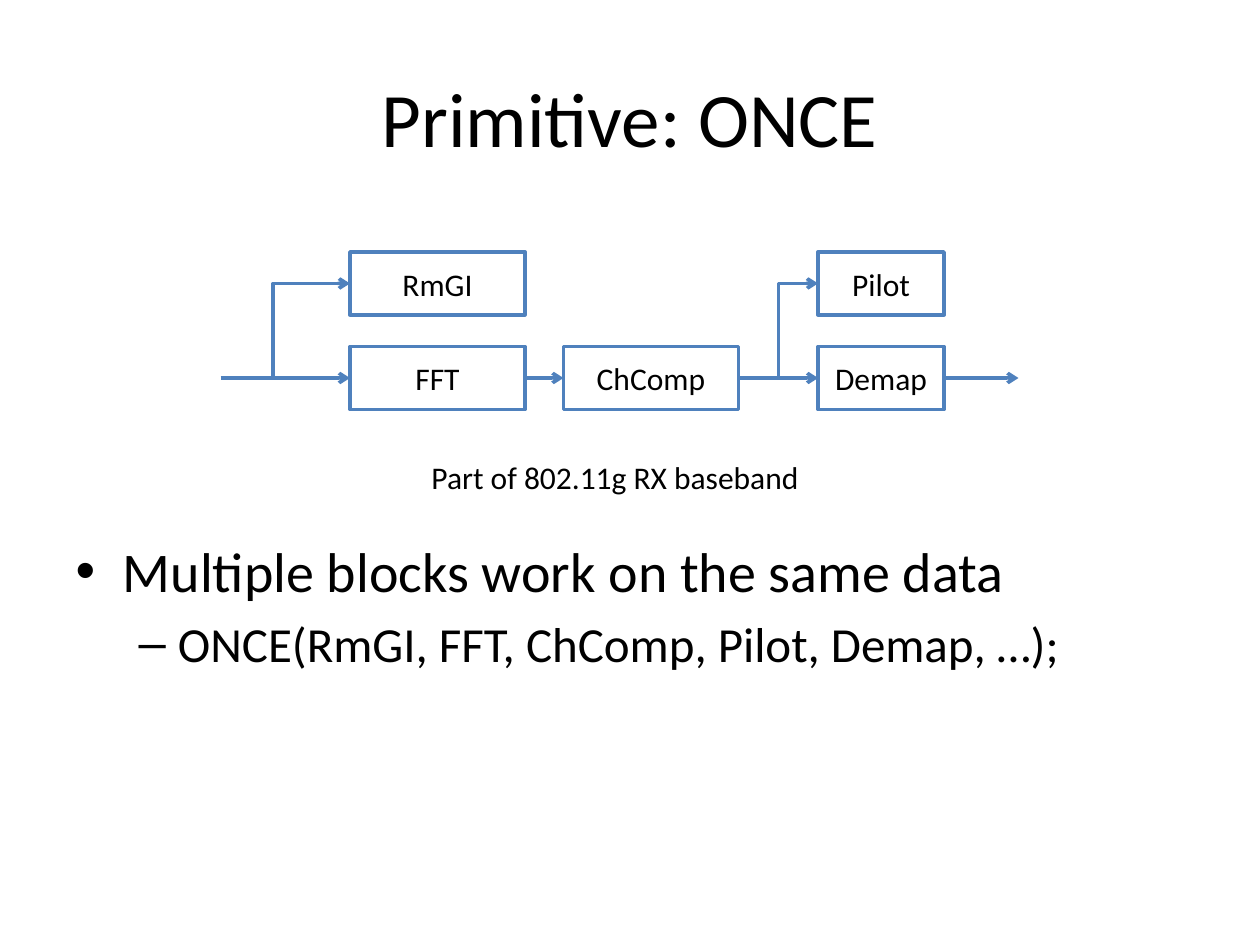
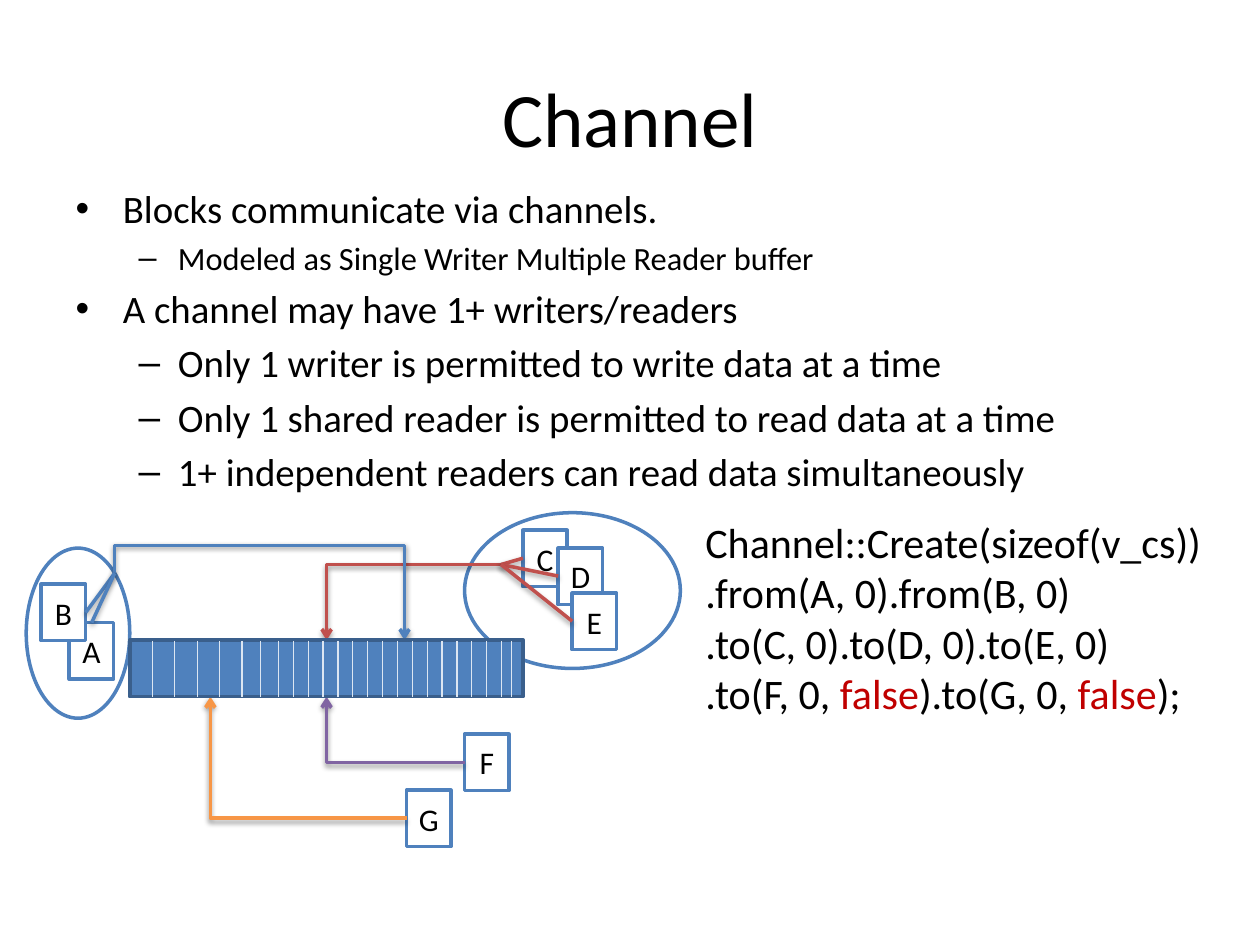
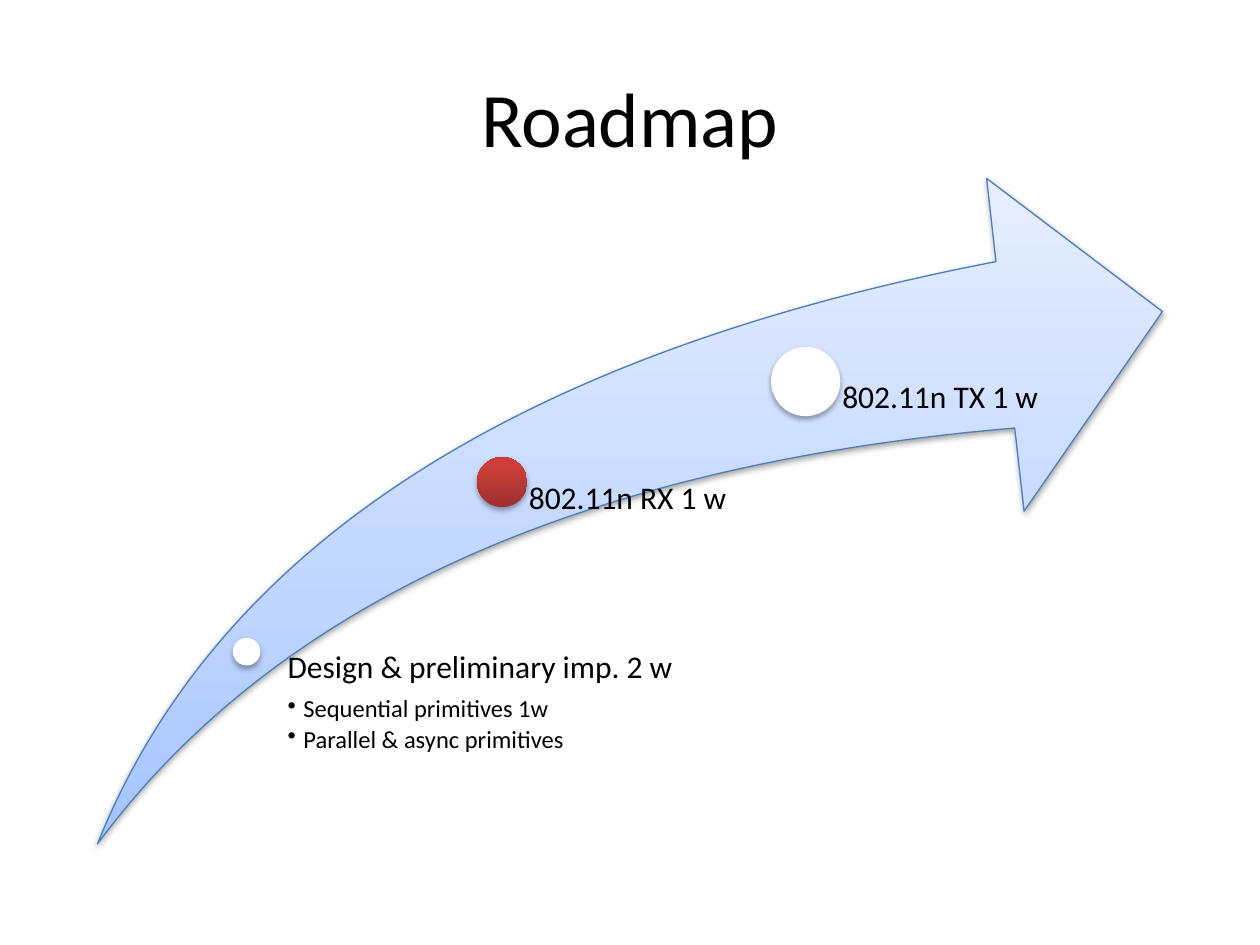
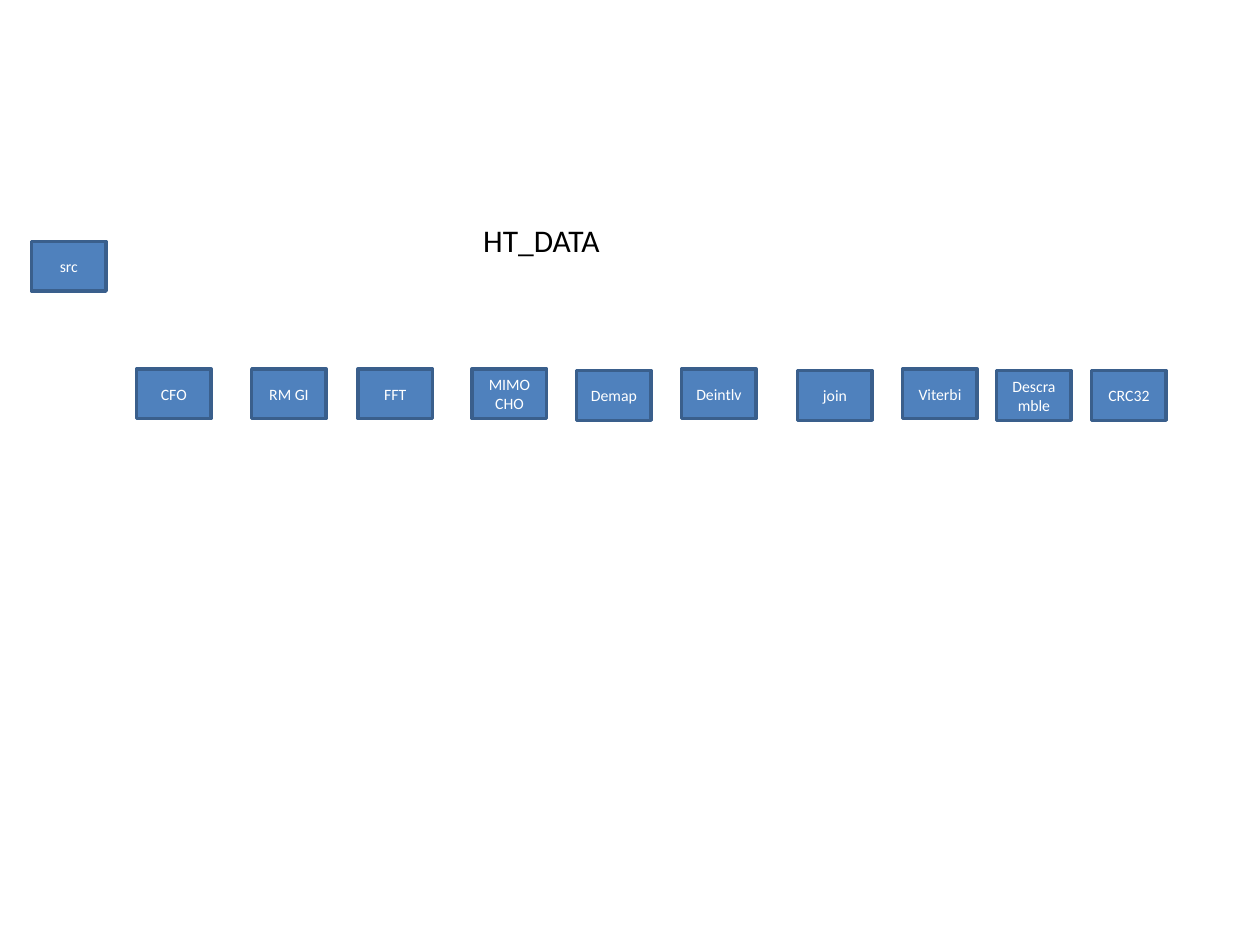
from lxml.etree import SubElement
from pptx import Presentation
from pptx.dml.color import RGBColor
from pptx.enum.shapes import MSO_CONNECTOR, MSO_SHAPE
from pptx.enum.text import MSO_ANCHOR, MSO_AUTO_SIZE, PP_ALIGN
from pptx.oxml.ns import qn
from pptx.util import Pt

FONT = "Calibri"
BLACK, WHITE = "000000", "FFFFFF"
BLUE, NAVY, PALE = "4F81BD", "3A5F8C", "DCE6F2"
RED, PURPLE, ORANGE, ALERT = "C0504D", "8064A2", "F79646", "C00000"
SKY = [(0, "A4C4FF"), (35, "BFD4FF"), (100, "E6EEFF")]
RUBY = [(0, "9C2F2D"), (80, "CB3E3A"), (100, "CE3B37")]


def rgb(code):
    return RGBColor.from_string(code)


def style(para, size, color=BLACK):
    font = para.font
    font.name, font.size = FONT, Pt(size)
    font.color.rgb = rgb(color)


# Slides, titles and lists
def new_slide(deck, layout, title=None):
    slide = deck.slides.add_slide(deck.slide_layouts[layout])
    if title:
        slide.shapes.title.text = title
        style(slide.shapes.title.text_frame.paragraphs[0], 44)
    return slide


def add_list(slide, top, height, items):
    body = slide.placeholders[1]
    body.left, body.top, body.width, body.height = Pt(36), Pt(top), Pt(648), Pt(height)
    frame = body.text_frame
    frame.auto_size = MSO_AUTO_SIZE.NONE
    frame.text = "\n".join(text for text, level, size in items)
    for para, (text, level, size) in zip(frame.paragraphs, items):
        para.level = level
        style(para, size)


# Effects
def add_shadow(effects, alpha=38, dist=1.6):
    shadow = SubElement(effects, qn("a:outerShdw"), blurRad=str(Pt(3.1)), dist=str(Pt(dist)),
                        dir="5400000", rotWithShape="0")
    color = SubElement(shadow, qn("a:srgbClr"), val=BLACK)
    SubElement(color, qn("a:alpha"), val=str(alpha * 1000))


def shade(shape, stops):
    shape.fill.gradient()
    shape.fill.gradient_angle = 90
    gs_list = shape.element.spPr.find(qn("a:gradFill")).find(qn("a:gsLst"))
    for stop in list(gs_list):
        gs_list.remove(stop)
    for place, color in stops:
        stop = SubElement(gs_list, qn("a:gs"), pos=str(place * 1000))
        SubElement(stop, qn("a:srgbClr"), val=color)


# Shapes and text
def add_form(slide, kind, left, top, width, height, fill=None, line=None, weight=2):
    shape = slide.shapes.add_shape(kind, Pt(left), Pt(top), Pt(width), Pt(height))
    shape.shadow.inherit = False
    if isinstance(fill, list):
        shade(shape, fill)
    elif fill:
        shape.fill.solid()
        shape.fill.fore_color.rgb = rgb(fill)
    else:
        shape.fill.background()
    if line:
        shape.line.color.rgb = rgb(line)
        shape.line.width = Pt(weight)
    else:
        shape.line.fill.background()
    return shape


def add_box(slide, text, left, top, width, height, size=18,
            fill=WHITE, line=BLUE, color=BLACK):
    box = add_form(slide, MSO_SHAPE.RECTANGLE, left, top, width, height, fill, line)
    frame = box.text_frame
    frame.text = text
    frame.vertical_anchor = MSO_ANCHOR.MIDDLE
    for para in frame.paragraphs:
        para.alignment = PP_ALIGN.CENTER
        style(para, size, color)


def add_text(slide, text, left, top, width, height, size=18, wrap=True):
    box = slide.shapes.add_textbox(Pt(left), Pt(top), Pt(width), Pt(height))
    frame = box.text_frame
    frame.word_wrap = wrap
    frame.text = text
    for para in frame.paragraphs:
        style(para, size)
    return frame


# Lines and arrows
def add_line(slide, start, end, color=BLUE, weight=2, arrow=False, shadow=False,
             kind=MSO_CONNECTOR.STRAIGHT):
    line = slide.shapes.add_connector(kind, *map(Pt, start + end))
    line.line.color.rgb = rgb(color)
    line.line.width = Pt(weight)
    props = line.element.spPr
    if arrow:
        SubElement(props.find(qn("a:ln")), qn("a:tailEnd"), type="arrow")
    effects = SubElement(props, qn("a:effectLst"))
    if shadow:
        add_shadow(effects)
    return line


def add_bend(slide, start, end, turns, color=BLUE, shadow=False, adjust=()):
    """Bent arrow whose frame is rotated by quarter turns about its centre."""
    mid_x, mid_y = (start[0] + end[0]) / 2, (start[1] + end[1]) / 2
    dx, dy = end[0] - mid_x, end[1] - mid_y
    for _ in range(turns):
        dx, dy = dy, -dx
    line = add_line(slide, (mid_x - dx, mid_y - dy), (mid_x + dx, mid_y + dy), color,
                    arrow=True, shadow=shadow, kind=MSO_CONNECTOR.ELBOW)
    props = line.element.spPr
    props.find(qn("a:xfrm")).set("rot", str(turns * 5400000))
    shape = props.find(qn("a:prstGeom"))
    shape.set("prst", "bentConnector4" if adjust else "bentConnector2")
    for num, value in enumerate(adjust, 1):
        SubElement(shape.find(qn("a:avLst")), qn("a:gd"), name=f"adj{num}", fmla=f"val {value}")


def once_slide(deck):
    slide = new_slide(deck, 1, "Primitive: ONCE")
    add_list(slide, 303, 179, [
        ("Multiple blocks work on the same data", 0, 32),
        ("ONCE(RmGI, FFT, ChComp, Pilot, Demap, …);", 1, 28)])
    # Blocks in two rows
    high, low, tall = 144, 198, 36
    for text, left, top, width in [
            ("RmGI", 200, high, 100), ("FFT", 200, low, 100), ("Pilot", 467.5, high, 72),
            ("ChComp", 322, low, 100), ("Demap", 467.5, low, 72)]:
        add_box(slide, text, left, top, width, tall)
    # Data flow
    main, branch = low + tall / 2, high + tall / 2
    for start, end in [(126, 200), (300, 322), (422, 467.5), (539.5, 582)]:
        add_line(slide, (start, main), (end, main), arrow=True)
    for start, end in [(156, 200), (445, 467.5)]:
        add_bend(slide, (start, main), (end, branch), 1)
    add_text(slide, "Part of 802.11g RX baseband", 239.5, 258, 227, 29, wrap=False)


def channel_slide(deck):
    slide = new_slide(deck, 1, "Channel")
    add_list(slide, 102, 182, [
        ("Blocks communicate via channels.", 0, 22.2),
        ("Modeled as Single Writer Multiple Reader buffer", 1, 18.5),
        ("A channel may have 1+ writers/readers", 0, 22.2),
        ("Only 1 writer is permitted to write data at a time", 1, 22.2),
        ("Only 1 shared reader is permitted to read data at a time", 1, 22.2),
        ("1+ independent readers can read data simultaneously", 1, 22.2)])
    # Writers and readers
    for text, left, top in [("A", 39.6, 355.8), ("B", 23.5, 333.8), ("C", 298.8, 303),
                            ("D", 319, 313.2), ("E", 327, 339), ("G", 232.3, 451.5),
                            ("F", 265.5, 419.5)]:
        add_box(slide, text, left, top, 25.4, 32.3)
    for ring in [(265.5, 293, 123.3, 89), (15, 313.2, 59.2, 97.2)]:
        add_form(slide, MSO_SHAPE.OVAL, *ring, line=BLUE)
    # Links to the buffer
    write, read = (65.5, 327.6), (286.3, 322.6)
    top, base = 365.8, 398.1
    add_bend(slide, read, (186.6, top), 2, RED, True)
    add_bend(slide, (265.5, 435.6), (186.6, base), 2, PURPLE, True)
    add_bend(slide, write, (231.2, top), 3, BLUE, True, (-41700, 100000))
    for end in [(298.8, 319), (319, 329.2), (327, 355)]:
        add_line(slide, read, end, RED, shadow=True)
    for end in [(49, 350), (52.4, 355.8)]:
        add_line(slide, write, end, shadow=True)
    add_bend(slide, (232.3, 467.5), (120.2, base), 2, ORANGE, True)
    # Buffer with its cells
    add_form(slide, MSO_SHAPE.RECTANGLE, 74.2, top, 224.8, base - top, BLUE, NAVY)
    wide = [87.1 + 12.8 * num for num in range(5)]
    narrow = [159.1 + 8.5 * num for num in range(16)]
    for left in wide + [149] + narrow + [292.3]:
        add_line(slide, (left, 366.2), (left, base), PALE, 0.75)
    # Code
    frame = add_text(slide, "Channel::Create(sizeof(v_cs))\v.from(A, 0).from(B, 0)\v"
                     ".to(C, 0).to(D, 0).to(E, 0)", 396, 291.6, 324.5, 145.5, 24)
    para = frame.add_paragraph()
    style(para, 24)
    for text in [".to(F, 0, ", "false", ").to(G, 0, ", "false", ");"]:
        run = para.add_run()
        run.text = text
        if text == "false":
            run.font.color.rgb = rgb(ALERT)


def add_step(slide, dot, fill, label):
    left, top, size = dot
    oval = add_form(slide, MSO_SHAPE.OVAL, left, top, size, size, fill)
    add_shadow(oval.element.spPr.find(qn("a:effectLst")), 35, 1.8)
    text, left, top, width, inset = label
    frame = add_text(slide, text, left, top, width, 482.4 - top)
    frame.margin_left = Pt(inset)
    frame.margin_top = frame.margin_right = frame.margin_bottom = 0
    for num, para in enumerate(frame.paragraphs):
        para.line_spacing = 0.9
        para.space_after = Pt(2.1 if num else 6.3)
        if num:
            style(para, 14)
            props = para._p.get_or_add_pPr()
            props.set("marL", str(Pt(9)))
            props.set("indent", str(Pt(-9)))
            SubElement(props, qn("a:buChar"), char="•")
            # Bullets precede the default run properties
            props.append(props.find(qn("a:defRPr")))


def roadmap_slide(deck):
    slide = new_slide(deck, 5, "Roadmap")
    arrow = add_form(slide, MSO_SHAPE.SWOOSH_ARROW, 55.7, 102, 608.5, 380.3, SKY, "4B7EBC", 0.75)
    arrow.adjustments[0] = arrow.adjustments[1] = 0.25
    add_shadow(arrow.element.spPr.find(qn("a:effectLst")))
    design = ("Design & preliminary imp. 2 w\nSequential primitives 1w\n"
              "Parallel & async primitives")
    add_step(slide, (133, 364.5, 15.8), WHITE, (design, 156, 372.4, 236, 8.4))
    add_step(slide, (272.6, 261.2, 28.6), RUBY, ("802.11n RX 1 w", 287, 275.5, 146, 15.2))
    add_step(slide, (440.6, 198.2, 39.6), WHITE, ("802.11n TX 1 w", 460.3, 218, 146, 21))


def data_slide(deck):
    slide = new_slide(deck, 6)
    high, low = 210.8, 211.8
    for text, left, top in [
            ("src", 18, 138), ("CFO", 78, high), ("RM GI", 143.8, high),
            ("FFT", 204.5, high), ("MIMO\nCHO", 269.8, high), ("Demap", 329.5, low),
            ("Deintlv", 389.5, high), ("join", 455.8, low), ("Viterbi", 515.8, high),
            ("Descramble", 569.5, low), ("CRC32", 623.8, low)]:
        add_box(slide, text, left, top, 42.6, 28.4, 9, BLUE, NAVY, WHITE)
    add_text(slide, "HT_DATA", 269, 123, 82, 29, wrap=False)


def main():
    deck = Presentation()
    deck.slide_width, deck.slide_height = Pt(720), Pt(540)
    for build in (once_slide, channel_slide, roadmap_slide, data_slide):
        build(deck)
    deck.save("out.pptx")


if __name__ == "__main__":
    main()
